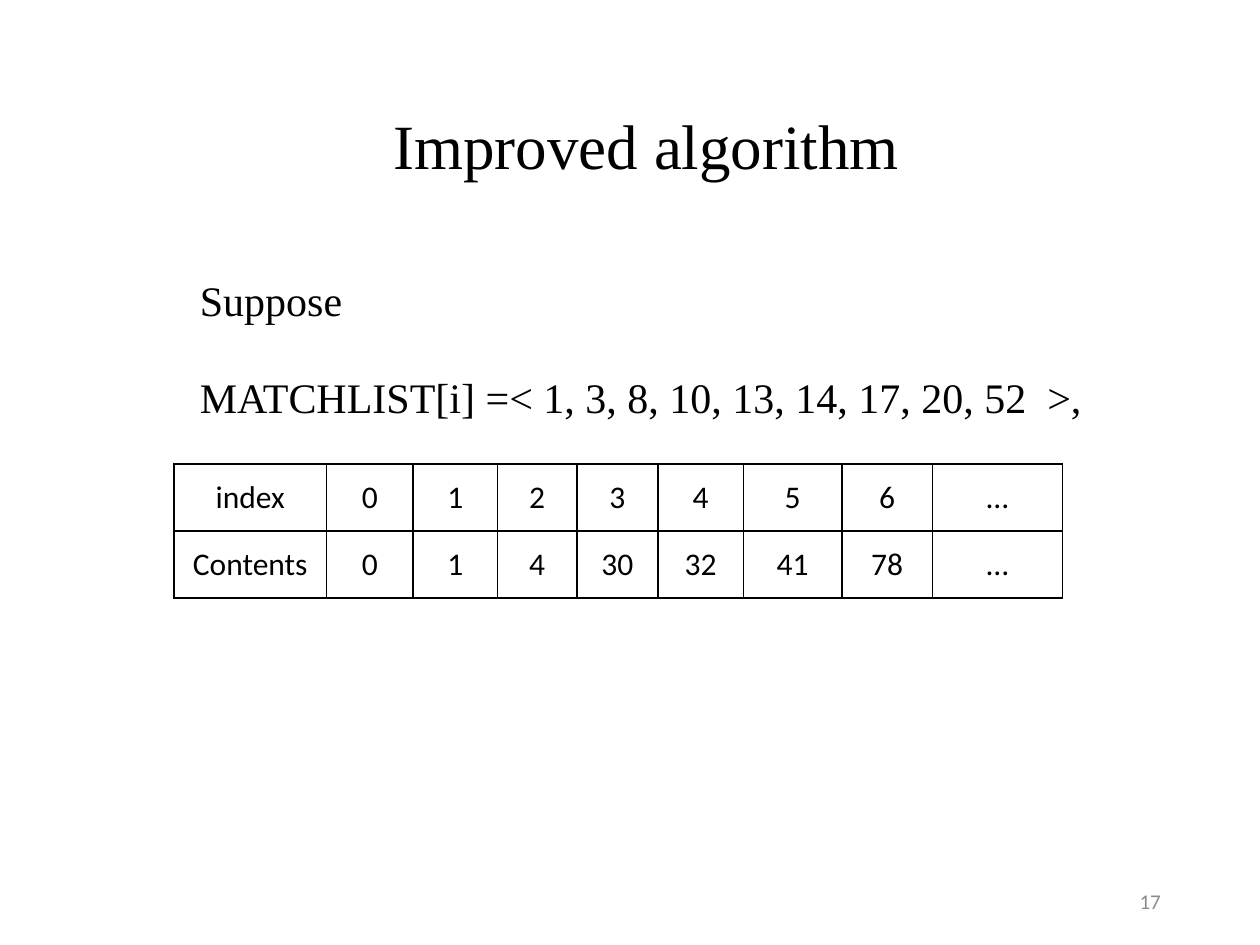
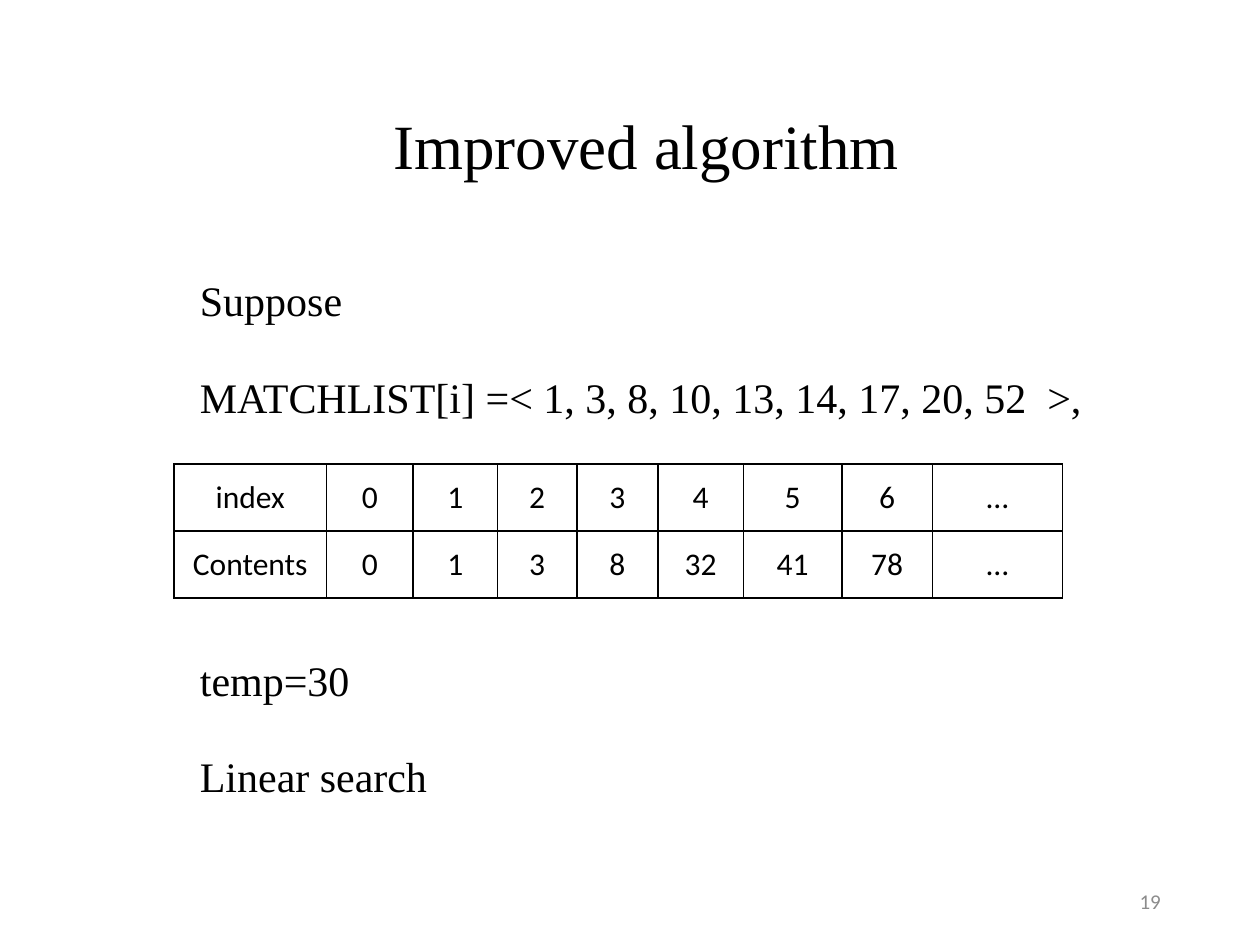
from lxml import etree
from pptx import Presentation
from pptx.dml.color import RGBColor
from pptx.enum.text import MSO_ANCHOR, PP_ALIGN
from pptx.oxml.ns import qn
from pptx.util import Cm, Pt

BLACK = RGBColor(0x00, 0x00, 0x00)
GREY = RGBColor(0x8C, 0x8C, 0x8C)
SERIF = "Times New Roman"
SANS = "Calibri"
LEFT, CENTER, RIGHT = PP_ALIGN.LEFT, PP_ALIGN.CENTER, PP_ALIGN.RIGHT
TOP, MIDDLE, BOTTOM = MSO_ANCHOR.TOP, MSO_ANCHOR.MIDDLE, MSO_ANCHOR.BOTTOM
TITLE_ONLY = 5

COLUMN_WIDTHS = (3.07, 1.75, 1.7, 1.6, 1.63, 1.73, 1.98, 1.83, 2.62)
ROW_HEIGHT = 1.35
BORDER_WIDTH = Pt(1)
LINE_GAP = 12
TABLE_GAP = 118.5  # leaves room for the table between two lines

INDEX_ROW = ("index", "0", "1", "2", "3", "4", "5", "6", "…")
PREMISE = (
    ("Suppose", 0),
    ("MATCHLIST[i] =< 1, 3, 8, 10, 13, 14, 17, 20, 52  >,", LINE_GAP),
)
SEARCH_STEP = (("temp=30", TABLE_GAP), ("Linear search", LINE_GAP))


class Deck:
    def __init__(self):
        self.presentation = Presentation()
        self.presentation.slide_width = Cm(25.4)
        self.presentation.slide_height = Cm(19.05)
        self.slide = None

    def styled_run(self, paragraph, text, font, size, color=BLACK, align=LEFT):
        paragraph.alignment = align
        run = paragraph.add_run()
        run.text = text
        run.font.name = font
        run.font.size = Pt(size)
        run.font.color.rgb = color

    def text_frame(self, left, top, width, height, anchor):
        box = self.slide.shapes.add_textbox(Cm(left), Cm(top), Cm(width), Cm(height))
        frame = box.text_frame
        frame.word_wrap = True
        frame.vertical_anchor = anchor
        return frame

    def start_slide(self, title):
        layout = self.presentation.slide_layouts[TITLE_ONLY]
        self.slide = self.presentation.slides.add_slide(layout)
        heading = self.slide.shapes.title
        heading.left, heading.top = Cm(5.08), Cm(1.93)
        heading.width, heading.height = Cm(15.9), Cm(1.88)
        heading.text_frame.vertical_anchor = BOTTOM
        paragraph = heading.text_frame.paragraphs[0]
        paragraph.line_spacing = 0.9
        self.styled_run(paragraph, title, SERIF, 36, align=CENTER)

    def body(self, lines):
        """Add (text, points of space before) pairs, one paragraph each."""
        frame = self.text_frame(3.78, 4.78, 18.49, 14.27, TOP)
        frame.margin_top = Cm(0.25)
        for number, (text, gap) in enumerate(lines):
            paragraph = frame.add_paragraph() if number else frame.paragraphs[0]
            paragraph.line_spacing = 1.5
            paragraph.space_before = Pt(gap)
            self.styled_run(paragraph, text, SERIF, 24)

    def page_number(self, number):
        frame = self.text_frame(17.93, 17.65, 5.72, 1.02, MIDDLE)
        self.styled_run(frame.paragraphs[0], str(number), SANS, 12, GREY, RIGHT)

    def border(self, cell):
        properties = cell._tc.get_or_add_tcPr()
        for position, side in enumerate(("lnL", "lnR", "lnT", "lnB")):
            line = etree.Element(qn(f"a:{side}"), w=str(BORDER_WIDTH))
            fill = etree.SubElement(line, qn("a:solidFill"))
            etree.SubElement(fill, qn("a:srgbClr"), val=str(BLACK))
            properties.insert(position, line)

    def table(self, rows):
        table = self.slide.shapes.add_table(
            len(rows), len(COLUMN_WIDTHS), Cm(3.51), Cm(9.35),
            Cm(sum(COLUMN_WIDTHS)), Cm(ROW_HEIGHT * len(rows)),
        ).table
        table.first_row = False
        table.horz_banding = False
        for column, width in zip(table.columns, COLUMN_WIDTHS):
            column.width = Cm(width)
        for row, values in zip(table.rows, rows):
            row.height = Cm(ROW_HEIGHT)
            for cell, value in zip(row.cells, values):
                cell.fill.background()
                cell.vertical_anchor = MIDDLE
                self.border(cell)
                paragraph = cell.text_frame.paragraphs[0]
                self.styled_run(paragraph, value, SANS, 18, align=CENTER)


def main():
    deck = Deck()
    steps = (
        (17, PREMISE, ("4", "30")),
        (19, PREMISE + SEARCH_STEP, ("3", "8")),
    )
    for page, lines, changing in steps:
        deck.start_slide("Improved algorithm")
        deck.body(lines)
        deck.page_number(page)
        contents_row = ("Contents", "0", "1", *changing, "32", "41", "78", "…")
        deck.table((INDEX_ROW, contents_row))
    deck.presentation.save("out.pptx")


if __name__ == "__main__":
    main()
